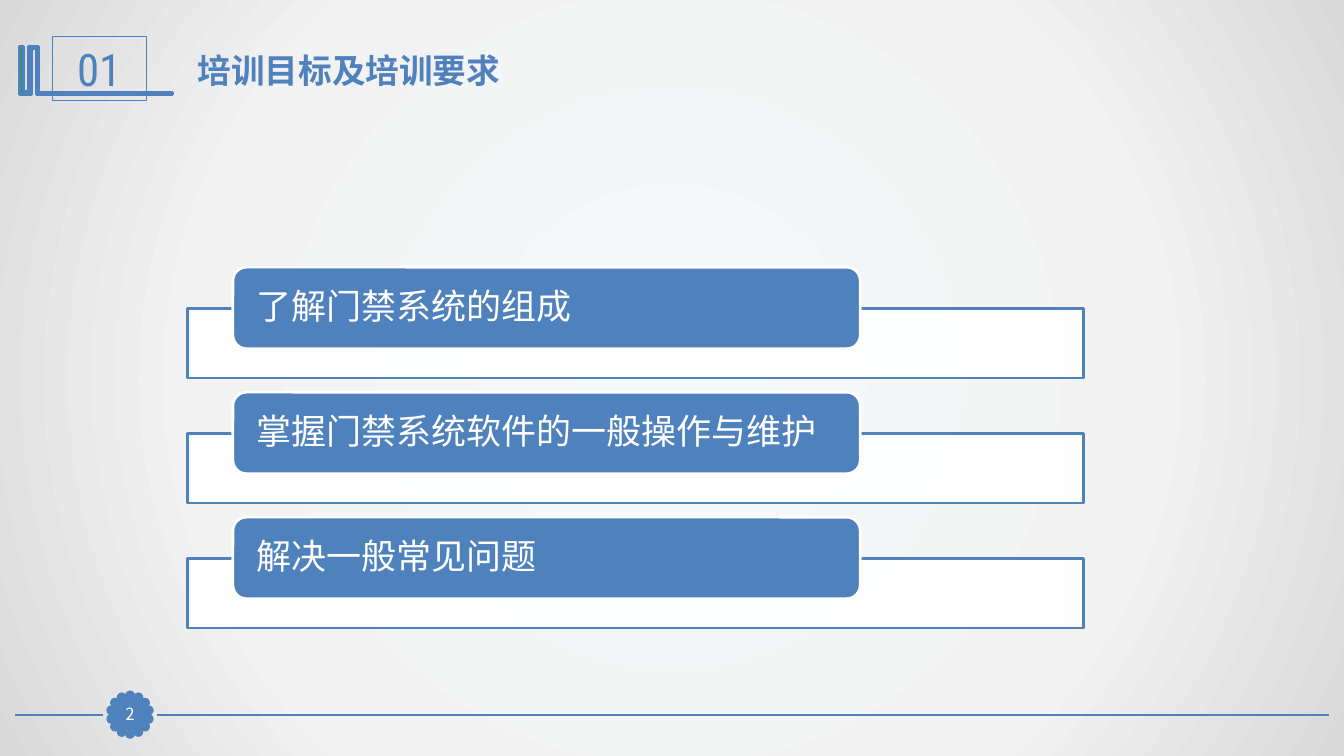
from math import cos, pi, sin

from lxml import etree
from pptx import Presentation
from pptx import util as u
from pptx.dml.color import RGBColor
from pptx.enum import shapes, text
from pptx.oxml import parse_xml
from pptx.oxml.ns import nsdecls, qn

BLUE, WHITE, GREEN = "4F81BD", "FFFFFF", "339933"
CJK = "Noto Sans CJK SC"
KIND = shapes.MSO_SHAPE
ALIGN = text.PP_ALIGN
ANCHOR = text.MSO_ANCHOR
GOALS = ["了解门禁系统的组成", "掌握门禁系统软件的一般操作与维护", "解决一般常见问题"]
STOPS = [(0, "F6F9FC"), (63, "F2F2F2"), (100, "D9D9D9")]
# Book outline in hundredths of an inch, from its top left corner
BOOK = [(18, 0), (19, 0), (19, 46), (152, 46), (152, 48), (17, 48), (17, 2),
        (12, 2), (12, 48), (0, 48), (0, 0), (4, 0), (4, 45), (9, 45), (9, 0)]


def rgb(code):
    return RGBColor.from_string(code)


def style(shape, fill, line, width):
    shape.shadow.inherit = False
    if fill:
        shape.fill.solid()
        shape.fill.fore_color.rgb = rgb(fill)
    else:
        shape.fill.background()
    shape.line.color.rgb = rgb(line)
    shape.line.width = u.Pt(width)


def block(slide, kind, box, fill, line, width):
    shape = slide.shapes.add_shape(kind, *map(u.Inches, box))
    style(shape, fill, line, width)
    return shape


def write(shape, words, size, font, color, align=ALIGN.CENTER,
          anchor=ANCHOR.MIDDLE, pad=(0, 0), bold=False):
    """Put one run of text in a shape; pad is the side and the top inset."""
    frame = shape.text_frame
    frame.word_wrap = True
    frame.auto_size = text.MSO_AUTO_SIZE.NONE
    frame.vertical_anchor = anchor
    frame.margin_left = frame.margin_right = u.Inches(pad[0])
    frame.margin_top = frame.margin_bottom = u.Inches(pad[1])
    para = frame.paragraphs[0]
    para.alignment = align
    run = para.add_run()
    run.text = words
    run.font.size = u.Pt(size)
    run.font.bold = bold
    run.font.name = font
    run.font.color.rgb = rgb(color)
    east = etree.SubElement(run.font._element, qn("a:ea"))
    east.set("typeface", CJK)
    return para


def backdrop(slide):
    slide.background.fill.gradient()
    old = slide.element.find(".//" + qn("a:gradFill"))
    stops = "".join(f'<a:gs pos="{pos * 1000}"><a:srgbClr val="{code}"/></a:gs>'
                    for pos, code in STOPS)
    new = parse_xml(
        f'<a:gradFill {nsdecls("a")} rotWithShape="1"><a:gsLst>{stops}</a:gsLst>'
        '<a:path path="circle"><a:fillToRect l="50000" t="50000" r="50000" '
        'b="50000"/></a:path></a:gradFill>')
    old.getparent().replace(old, new)


def rule(slide, start, end, y):
    line = slide.shapes.add_connector(
        shapes.MSO_CONNECTOR.STRAIGHT, *map(u.Inches, (start, y, end, y)))
    line.line.color.rgb = rgb(BLUE)
    line.line.width = u.Pt(1.25)
    etree.SubElement(line._element.spPr, qn("a:effectLst"))


def footer(slide, left, right, y, page):
    """Draw the bottom rule, broken by a scalloped page badge."""
    mid, ring, dot, count = left + 1.14, 0.19, 0.07, 14
    rule(slide, right, mid + 0.27, y)
    rule(slide, mid - 0.27, left, y)
    for k in range(count):
        turn = 2 * pi * k / count
        x = mid + ring * sin(turn) - dot / 2
        top = y - ring * cos(turn) - dot / 2
        block(slide, KIND.OVAL, (x, top, dot, dot), BLUE, BLUE, 2)
    badge = block(slide, KIND.RECTANGLE, (mid - 0.16, y - 0.16, 0.32, 0.31),
                  BLUE, BLUE, 0.75)
    write(badge, page, 12, CJK, WHITE)


def header(slide, left, top, number, words):
    pen = slide.shapes.build_freeform(*BOOK[0], scale=u.Inches(0.01))
    pen.add_line_segments(BOOK[1:], close=True)
    book = pen.convert_to_shape(u.Inches(left), u.Inches(top + 0.1))
    style(book, GREEN, BLUE, 2)
    frame = block(slide, KIND.RECTANGLE, (left + 0.33, top, 0.93, 0.64),
                  None, BLUE, 0.75)
    write(frame, number, 32, "Roboto Condensed", BLUE, pad=(0.1, 0.05))
    title = slide.shapes.title
    title.left, title.top = u.Inches(left + 1.67), u.Inches(top + 0.08)
    title.width, title.height = u.Inches(9.69), u.Inches(0.5)
    write(title, words, 24, "Roboto", BLUE, ALIGN.LEFT, ANCHOR.TOP,
          (0.1, 0.05), True)


def goals(slide, left, top, width, step):
    """Stack one label over one pale panel for each goal."""
    for k, words in enumerate(GOALS):
        y = top + k * step
        panel = block(slide, KIND.RECTANGLE, (left, y + 0.41, width, 0.69),
                      WHITE, BLUE, 2)
        tint = panel._element.spPr.find(qn("a:solidFill"))[0]
        etree.SubElement(tint, qn("a:alpha")).set("val", "90000")
        label = block(slide, KIND.ROUNDED_RECTANGLE,
                      (left + 0.45, y, width * 0.7, 0.81), BLUE, WHITE, 2)
        para = write(label, words, 25, CJK, WHITE, ALIGN.LEFT, pad=(0.2, 0))
        para.line_spacing = 0.9


def main():
    deck = Presentation()
    deck.slide_width, deck.slide_height = u.Inches(13.33), u.Inches(7.5)
    slide = deck.slides.add_slide(deck.slide_layouts[5])
    backdrop(slide)
    footer(slide, 0.15, 13.18, 7.09, "2")
    header(slide, 0.19, 0.36, "01", "培训目标及培训要求")
    goals(slide, 1.86, 2.65, 8.89, 1.24)
    deck.save("out.pptx")


if __name__ == "__main__":
    main()
